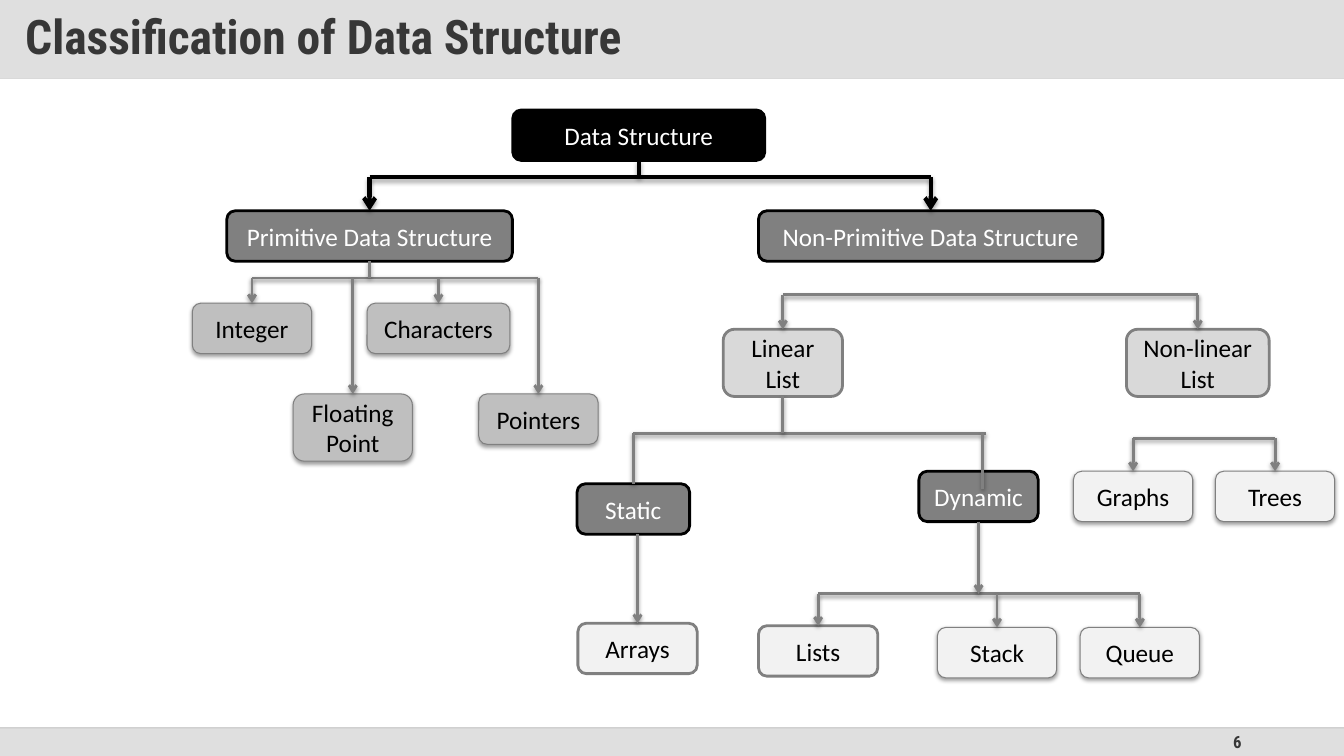
import pptx
import pptx.dml.color
import pptx.enum.shapes
import pptx.enum.text
import pptx.oxml
import pptx.oxml.ns
import pptx.util
from lxml import etree

RGB = pptx.dml.color.RGBColor
BLACK = RGB(0x00, 0x00, 0x00)
WHITE = RGB(0xFF, 0xFF, 0xFF)
GREY = RGB(0x80, 0x80, 0x80)
MID = RGB(0xBF, 0xBF, 0xBF)
LIGHT = RGB(0xD9, 0xD9, 0xD9)
PALE = RGB(0xF2, 0xF2, 0xF2)
SILVER = RGB(0xC0, 0xC0, 0xC0)
FOOTER = RGB(0xDF, 0xDF, 0xDF)
INK = RGB(0x37, 0x37, 0x37)

SHAPE = pptx.enum.shapes.MSO_SHAPE
ALIGN = pptx.enum.text.PP_ALIGN
MIDDLE = pptx.enum.text.MSO_ANCHOR.MIDDLE
Pt = pptx.util.Pt
qn = pptx.oxml.ns.qn

CELL = pptx.util.Inches(1) // 12
COLS, ROWS = 160, 90
HEADER_H, FOOTER_Y = 9.36, 86.64
BOX_W, BOX_H, TALL_H = 14.2, 6, 8

NODE_FONT = {"name": "Calibri", "size": Pt(18), "bold": False}
TITLE_FONT = {"name": "Roboto Condensed", "size": Pt(34), "bold": True}
NUMBER_FONT = {"name": "Roboto Condensed", "size": Pt(12), "bold": True}
TITLE_FRAME = {
    "margin_left": 3 * CELL, "margin_right": 3 * CELL,
    "margin_top": CELL * 3 // 2, "margin_bottom": CELL * 3 // 2,
    "vertical_anchor": MIDDLE, "word_wrap": True,
    "auto_size": pptx.enum.text.MSO_AUTO_SIZE.NONE,
}

ROOT = {"fill": BLACK, "line": BLACK, "width": 2, "ink": WHITE}
BRANCH = {"fill": GREY, "line": BLACK, "width": 2, "ink": WHITE}
PRIMITIVE = {"fill": MID, "line": GREY, "width": 0.75, "ink": BLACK, "shadow": True}
KIND = {"fill": LIGHT, "line": GREY, "width": 2, "ink": BLACK}
LEAF = {"fill": PALE, "line": GREY, "width": 0.75, "ink": BLACK, "shadow": True}
BOLD_LEAF = {"fill": PALE, "line": GREY, "width": 2, "ink": BLACK}

THICK = {"color": BLACK, "width": 3, "shadow": (35, 1.8)}
THIN = {"color": GREY, "width": 2, "shadow": (38, 1.6)}
RULE = {"color": LIGHT, "width": 1}
FAINT_RULE = {"color": MID, "width": 1, "alpha": 70}

NODES = [
    ("Data Structure", 61.05, 13.1, 30, BOX_H, ROOT),
    ("Primitive Data Structure", 27, 25.1, 34, BOX_H, BRANCH),
    ("Non-Primitive Data Structure", 90.3, 25.1, 41, BOX_H, BRANCH),
    ("Integer", 22.9, 36.1, BOX_W, BOX_H, PRIMITIVE),
    ("Floating\nPoint", 34.9, 46.9, BOX_W, TALL_H, PRIMITIVE),
    ("Characters", 43.7, 36.1, 17, BOX_H, PRIMITIVE),
    ("Pointers", 57, 46.9, BOX_W, BOX_H, PRIMITIVE),
    ("Linear List", 86.1, 39.2, BOX_W, TALL_H, KIND),
    ("Non-linear List", 134.1, 39.2, 17, TALL_H, KIND),
    ("Graphs", 127.8, 56.1, BOX_W, BOX_H, LEAF),
    ("Trees", 144.7, 56.1, BOX_W, BOX_H, LEAF),
    ("Static", 68.7, 57.6, 13.4, BOX_H, BRANCH),
    ("Dynamic", 109.4, 56.1, BOX_W, BOX_H, BRANCH),
    ("Arrays", 68.8, 74.2, BOX_W, BOX_H, BOLD_LEAF),
    ("Lists", 90.3, 74.5, BOX_W, BOX_H, BOLD_LEAF),
    ("Stack", 111.6, 74.7, BOX_W, BOX_H, LEAF),
    ("Queue", 128.6, 74.7, BOX_W, BOX_H, LEAF),
]


def grid(*cells):
    return [round(c * CELL) for c in cells]


def apply(target, values):
    for name, value in values.items():
        setattr(target, name, value)


def add_effects(sp, alpha=None, dist=0):
    sp_pr = sp._element.spPr
    effects = etree.SubElement(sp_pr, qn("a:effectLst"))
    if alpha:
        shadow = etree.SubElement(effects, qn("a:outerShdw"), blurRad=str(Pt(3.1)),
                                  dist=str(Pt(dist)), dir="5400000", rotWithShape="0")
        color = etree.SubElement(shadow, qn("a:srgbClr"), val="000000")
        etree.SubElement(color, qn("a:alpha"), val=str(alpha * 1000))


def set_alpha(sp, percent):
    for color in sp._element.spPr.iter(qn("a:srgbClr")):
        etree.SubElement(color, qn("a:alpha"), val=str(percent * 1000))


def write(tf, text, font, color, align):
    tf.text = text
    for p in tf.paragraphs:
        p.alignment = align
        for r in p.runs:
            apply(r.font, font)
            r.font.color.rgb = color


def add_node(slide, text, x, y, w, h, style):
    sp = slide.shapes.add_shape(SHAPE.ROUNDED_RECTANGLE, *grid(x, y, w, h))
    sp.fill.solid()
    sp.fill.fore_color.rgb = style["fill"]
    sp.line.color.rgb = style["line"]
    sp.line.width = Pt(style["width"])
    add_effects(sp, *((38, 1.6) if style.get("shadow") else ()))
    tf = sp.text_frame
    apply(tf, {"word_wrap": True, "vertical_anchor": MIDDLE})
    write(tf, text, NODE_FONT, style["ink"], ALIGN.CENTER)
    return sp


def add_line(slide, x1, y1, x2, y2, style, arrow=False, start=None, end=None):
    straight = pptx.enum.shapes.MSO_CONNECTOR.STRAIGHT
    line = slide.shapes.add_connector(straight, *grid(x1, y1, x2, y2))
    if start is not None:
        line.begin_connect(start, 2)
    if end is not None:
        line.end_connect(end, 0)
    line.line.color.rgb = style["color"]
    line.line.width = Pt(style["width"])
    if arrow:
        ln = line._element.spPr.find(qn("a:ln"))
        etree.SubElement(ln, qn("a:tailEnd"), type="arrow")
    if "alpha" in style:
        set_alpha(line, style["alpha"])
    add_effects(line, *style.get("shadow", ()))


def center(sp):
    return (sp.left + sp.width / 2) / CELL


def add_branch(slide, y, children, style, parent=None):
    xs = [center(sp) for sp in children]
    add_line(slide, xs[0], y, xs[-1], y, style)
    for x, child in zip(xs, children):
        add_line(slide, x, y, x, child.top / CELL, style, arrow=True, end=child)
    if parent is not None:
        x = center(parent)
        add_line(slide, x, y, x, y, style, start=parent)


def add_frame(slide):
    bar = slide.shapes.add_shape(SHAPE.ROUNDED_RECTANGLE,
                                 *grid(0, FOOTER_Y, COLS, ROWS - FOOTER_Y))
    bar.adjustments[0] = 0
    bar.fill.solid()
    bar.fill.fore_color.rgb = FOOTER
    bar.line.fill.background()
    bar.shadow.inherit = False

    number = slide.shapes.add_textbox(*grid(113, FOOTER_Y, 36, ROWS - FOOTER_Y))
    apply(number.text_frame, {"word_wrap": True, "vertical_anchor": MIDDLE})
    write(number.text_frame, "6", NUMBER_FONT, INK, ALIGN.RIGHT)

    add_line(slide, 0, HEADER_H, COLS, HEADER_H, RULE)
    add_line(slide, 0, FOOTER_Y, COLS, FOOTER_Y, FAINT_RULE)


def add_title(slide, text):
    sp = slide.shapes.title
    apply(sp, dict(zip(("left", "top", "width", "height"), grid(0, 0, COLS, HEADER_H))))
    sp.fill.solid()
    sp.fill.fore_color.rgb = SILVER
    set_alpha(sp, 50)
    apply(sp.text_frame, TITLE_FRAME)
    write(sp.text_frame, text, TITLE_FONT, INK, ALIGN.LEFT)
    sp.text_frame.paragraphs[0].line_spacing = 0.9


def main():
    prs = pptx.Presentation()
    prs.slide_width, prs.slide_height = grid(COLS, ROWS)
    slide = prs.slides.add_slide(prs.slide_layouts[5])
    add_title(slide, "Classification of Data Structure")
    add_frame(slide)

    (root, primitive, non_primitive, integer, floating, characters, pointers,
     linear, non_linear, graphs, trees, static, dynamic,
     arrays, lists, stack, queue) = [add_node(slide, *node) for node in NODES]

    add_branch(slide, 21.1, [primitive, non_primitive], THICK, root)
    add_branch(slide, 33.1, [integer, floating, characters, pointers], THIN, primitive)
    add_branch(slide, 35.1, [linear, non_linear], THIN)
    add_branch(slide, 52.2, [graphs, trees], THIN)
    add_branch(slide, 70.7, [lists, stack, queue], THIN)

    split_y = 51.6
    add_line(slide, 75.4, split_y, 117.4, split_y, THIN)
    add_line(slide, 93.2, split_y, 93.2, split_y, THIN, start=linear)
    add_line(slide, 75.4, split_y, 75.4, 57.6, THIN, end=static)
    add_line(slide, 117, split_y, 117, 58.2, THIN)
    add_line(slide, 75.9, 63.6, 75.9, 74.2, THIN, arrow=True, end=arrays)
    add_line(slide, 116.5, 62.1, 116.5, 70.7, THIN, arrow=True, start=dynamic)

    prs.save("out.pptx")


if __name__ == "__main__":
    main()
